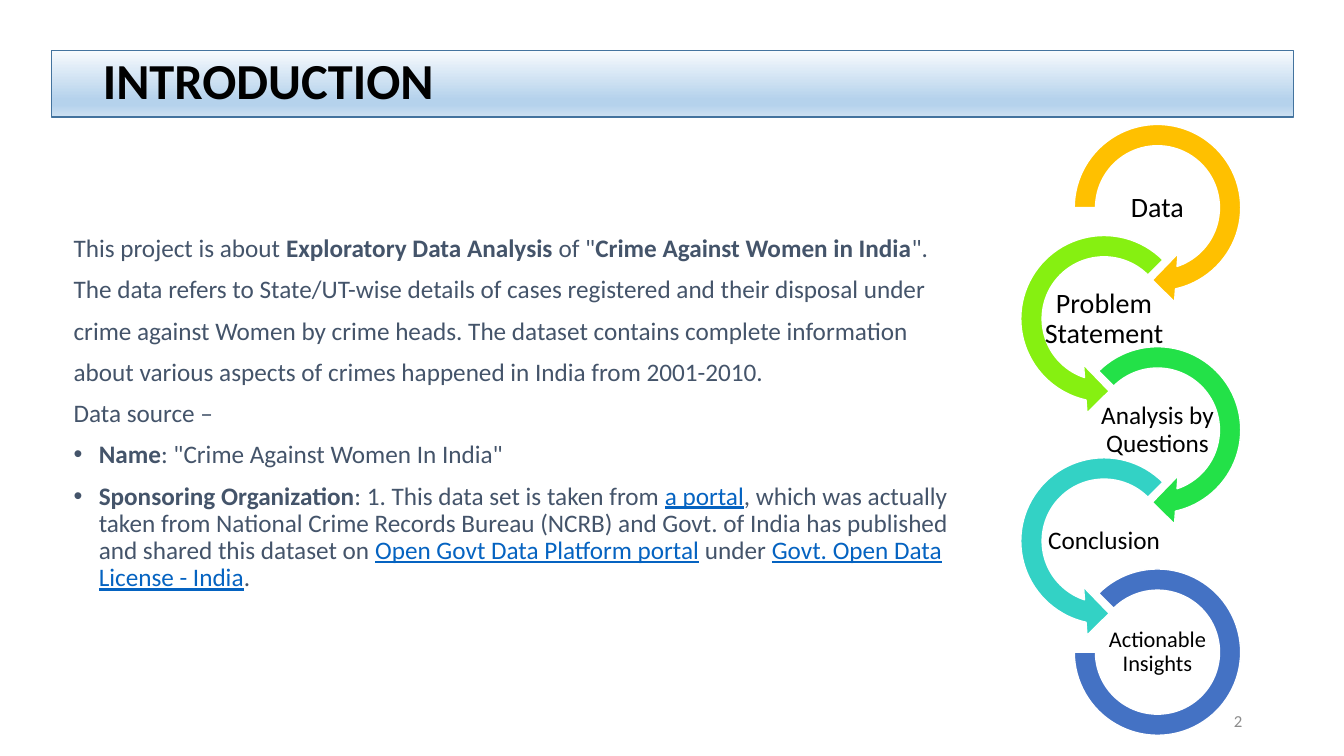
import pptx
import pptx.util
import pptx.dml.color
import pptx.enum.shapes
import pptx.enum.text
import pptx.oxml
import pptx.oxml.ns
from lxml import etree

Inches = pptx.util.Inches
Kind = pptx.enum.shapes.MSO_SHAPE
Align = pptx.enum.text.PP_ALIGN
Anchor = pptx.enum.text.MSO_ANCHOR
qn = pptx.oxml.ns.qn


def color(code):
    return pptx.dml.color.RGBColor.from_string(code)


def write(para, text, size=18, tint="000000", bold=False, under=False, font="Calibri"):
    run = para.add_run()
    run.text = text
    run.font.name = font
    run.font.size = pptx.util.Pt(size)
    run.font.color.rgb = color(tint)
    run.font.bold = bold
    run.font.underline = under


class Deck:
    ink, blue = "44546A", "0563C1"

    def __init__(self):
        self.prs = pptx.Presentation()
        self.prs.slide_width = Inches(13.33)
        self.prs.slide_height = Inches(7.5)
        self.slide = self.prs.slides.add_slide(self.prs.slide_layouts[1])

    def place(self, shape, left, top, width, height):
        shape.left, shape.top = Inches(left), Inches(top)
        shape.width, shape.height = Inches(width), Inches(height)

    def frame(self, shape, anchor):
        frame = shape.text_frame
        frame.word_wrap = True
        frame.auto_size = pptx.enum.text.MSO_AUTO_SIZE.NONE
        frame.vertical_anchor = anchor
        return frame

    def shape(self, kind, box, line, fill=None, adj=()):
        shape = self.slide.shapes.add_shape(kind, *map(Inches, box))
        shape.shadow.inherit = False
        shape.line.color.rgb = color(line)
        shape.line.width = pptx.util.Pt(1)
        if fill:
            shape.fill.solid()
            shape.fill.fore_color.rgb = color(fill)
        for i, value in enumerate(adj):
            shape.adjustments[i] = value
        return shape

    def banner(self, box, stops, line):
        shape = self.shape(Kind.RECTANGLE, box, line)
        shape.fill.gradient()
        shape.fill.gradient_angle = 270
        stack = next(shape._element.iter(qn("a:gsLst")))
        for old in list(stack):
            stack.remove(old)
        for pos, code in stops:
            stop = etree.SubElement(stack, qn("a:gs"), pos=str(pos * 1000))
            etree.SubElement(stop, qn("a:srgbClr"), val=code)
        # Keep the band behind the placeholders
        tree = self.slide.shapes._spTree
        tree.remove(shape._element)
        tree.insert(2, shape._element)

    def title(self, text, box):
        shape = self.slide.shapes.title
        self.place(shape, *box)
        para = self.frame(shape, Anchor.MIDDLE).paragraphs[0]
        para.alignment = Align.LEFT
        para.line_spacing = 0.9
        write(para, text, size=36, bold=True)

    def body(self, items, box):
        shape = self.slide.placeholders[1]
        self.place(shape, *box)
        frame = self.frame(shape, Anchor.TOP)
        for i, (dot, parts) in enumerate(items):
            para = frame.add_paragraph() if i else frame.paragraphs[0]
            para.line_spacing = 0.9
            para.space_before = pptx.util.Pt(10)
            props = para._p.get_or_add_pPr()
            indent = Inches(0.25) if dot else 0
            props.set("marL", str(indent))
            props.set("indent", str(-indent))
            if dot:
                etree.SubElement(props, qn("a:buFont"), typeface="Arial")
                etree.SubElement(props, qn("a:buChar"), char="•")
            else:
                etree.SubElement(props, qn("a:buNone"))
            for text, mark in parts:
                link = mark == "link"
                write(para, text, tint=self.blue if link else self.ink,
                      bold=mark == "bold", under=link)

    def label(self, text, box, align=Align.CENTER, inset=0.01, space=0.9, **style):
        shape = self.slide.shapes.add_textbox(*map(Inches, box))
        frame = self.frame(shape, Anchor.MIDDLE)
        frame.margin_left = frame.margin_right = Inches(inset)
        frame.margin_top = frame.margin_bottom = Inches(inset)
        para = frame.paragraphs[0]
        para.alignment = align
        para.line_spacing = space
        write(para, text, **style)


def main():
    deck = Deck()

    # Heading band
    deck.banner((0.51, 0.5, 12.32, 0.66),
                [(0, "F7FAFD"), (74, "B5D2EC"), (83, "B5D2EC"), (100, "CEE1F2")],
                "43739E")
    deck.title("INTRODUCTION", (0.92, 0.5, 3.5, 0.66))

    # Project summary: (bullet, [(text, mark)])
    deck.body([
        (False, [("This project is about ", ""), ("Exploratory Data Analysis", "bold"),
                 (" of \"", ""), ("Crime Against Women in India", "bold"), ("\".", "")]),
        (False, [("The data refers to State/UT-wise details of cases registered "
                  "and their disposal under", "")]),
        (False, [("crime against Women by crime heads. The dataset contains "
                  "complete information", "")]),
        (False, [("about various aspects of crimes happened in India from 2001-2010.", "")]),
        (False, [("Data source –", "")]),
        (True, [("Name", "bold"), (": \"Crime Against Women In India\"", "")]),
        (True, [("Sponsoring Organization", "bold"),
                (": 1. This data set is taken from ", ""), ("a portal", "link"),
                (", which was actually taken from National Crime Records Bureau (NCRB) "
                 "and Govt. of India has published and shared this dataset on ", ""),
                ("Open Govt Data Platform portal", "link"), (" under ", ""),
                ("Govt. Open Data License - India", "link"), (".", "")]),
    ], (0.63, 2.29, 8.97, 5.61))

    # Page number
    deck.label("2", (9.42, 6.95, 3, 0.4), align=Align.RIGHT, inset=0.1, space=1,
               size=12, tint="8C8C8C")

    # Chain of steps, alternating right and left
    right, left = Kind.CIRCULAR_ARROW, Kind.LEFT_CIRCULAR_ARROW
    head = (0.11, 11.42)
    steps = [
        ("Data", right, "FFC000", 20, 1.07, (*head, 45, 108, 0.125)),
        ("Problem Statement", left, "86F011", 20, 1.5, (*head, 63, 189, 0.125)),
        ("Analysis by Questions", right, "23E148", 18, 1.55, (*head, 45, 135, 0.125)),
        ("Conclusion", left, "33D2C5", 18, 1.31, (*head, 63, 189, 0.125)),
        ("Actionable Insights", Kind.BLOCK_ARC, "4472C4", 16, 1.07, (135, 108, 0.127)),
    ]
    gap = 4.41 / (len(steps) - 1)
    for i, (text, kind, fill, size, wide, adj) in enumerate(steps):
        mid_x = 10.95 if i % 2 else 11.48
        mid_y = 2.06 + i * gap
        ring = 1.65 if kind == Kind.BLOCK_ARC else 1.92
        deck.shape(kind, (mid_x - ring / 2, mid_y - ring / 2, ring, ring),
                   "FFFFFF", fill, adj)
        deck.label(text, (mid_x - wide / 2, mid_y - 0.26, wide, 0.53), size=size)

    deck.prs.save("out.pptx")


if __name__ == "__main__":
    main()
